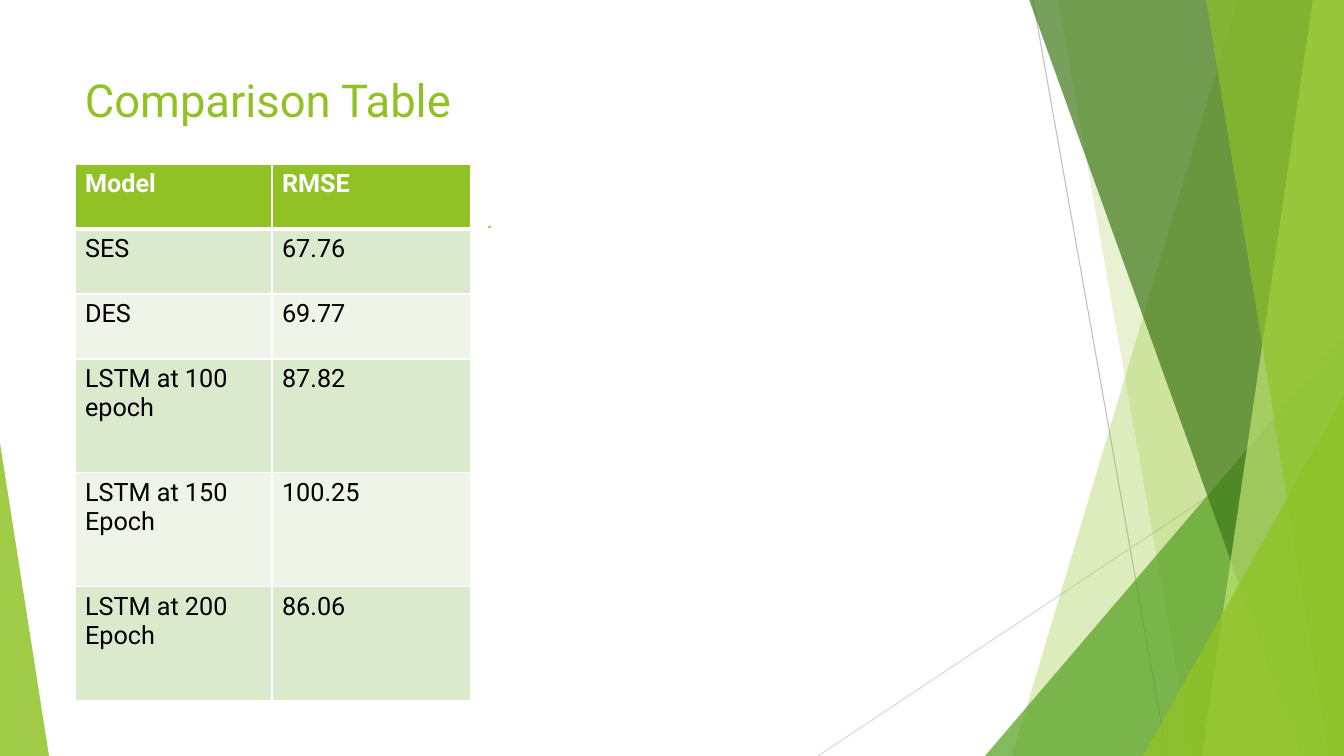
"""Build the Comparison Table slide: RMSE by forecasting model."""
import pptx
import pptx.dml.color
import pptx.enum.shapes
import pptx.enum.text
import pptx.oxml
import pptx.oxml.ns
import pptx.util

COLORS = {
    "lime": "90C226", "green": "54A021", "forest": "3F7819", "pale": "C0E474",
    "band_dark": "DBE9CD", "band_light": "EEF4E8", "white": "FFFFFF",
    "black": "000000", "gray": "BFBFBF", "light_gray": "D9D9D9",
}
FONT = "Roboto"
RIGHT, BOTTOM, TOP = 1344, 756, -1
qn = pptx.oxml.ns.qn


def px(length):
    return pptx.util.Emu(round(length * 914400 / 100.8))


def paint(fill, color, alpha=100):
    fill.solid()
    fill.fore_color.rgb = pptx.dml.color.RGBColor.from_string(COLORS[color])
    if alpha < 100:
        srgb = fill._xPr.find(".//" + qn("a:srgbClr"))
        srgb.append(srgb.makeelement(qn("a:alpha"), {"val": str(alpha * 1000)}))


deck = pptx.Presentation()
deck.slide_width, deck.slide_height = px(RIGHT), px(BOTTOM)
slide = deck.slides.add_slide(deck.slide_layouts[6])
shapes = slide.shapes

for start, end, color in [
    ((1033, 0), (1167, BOTTOM), "gray"),
    ((RIGHT, 406), (818, BOTTOM), "light_gray"),
]:
    ray = shapes.add_connector(
        pptx.enum.shapes.MSO_CONNECTOR.STRAIGHT, *map(px, start + end))
    ray.line.width = pptx.util.Pt(0.75)
    ray.line.color.rgb = pptx.dml.color.RGBColor.from_string(COLORS[color])
    properties = ray._element.spPr
    properties.append(properties.makeelement(qn("a:effectLst"), {}))

facets = [
    ("band", (1238, 1012), "lime", 30),
    ("band", (1058, 1192), "lime", 20),
    ("triangle", (985, 336, 359, 420, 1), "green", 72),
    ("band", (1029, 1301), "forest", 70),
    ("band", (1313, 1202), "pale", 70),
    ("band", (1206, 1329), "lime", 65),
    ("triangle", (1143, 396, 201, 360, 1), "lime", 80),
    ("triangle", (0, 443, 49, 313, 0), "lime", 85),
]
for kind, geometry, color, alpha in facets:
    if kind == "band":
        top_x, bottom_x = geometry
        outline = shapes.build_freeform(px(top_x), px(TOP))
        corners = [(RIGHT, TOP), (RIGHT, BOTTOM), (bottom_x, BOTTOM)]
        outline.add_line_segments([(px(x), px(y)) for x, y in corners])
        facet = outline.convert_to_shape()
    else:
        *box, apex = geometry
        facet = shapes.add_shape(
            pptx.enum.shapes.MSO_SHAPE.ISOSCELES_TRIANGLE, *map(px, box))
        facet.adjustments[0] = apex
    paint(facet.fill, color, alpha)
    facet.line.fill.background()
    facet.shadow.inherit = False

title = shapes.add_textbox(px(75), px(67), px(948), px(145)).text_frame
title.word_wrap = True
title.vertical_anchor = pptx.enum.text.MSO_ANCHOR.TOP
heading = title.paragraphs[0]
dot = title.add_paragraph()
dot.space_before = pptx.util.Pt(57)
dot._p.get_or_add_pPr().set("marL", str(px(402)))
for paragraph, words, size in [
    (heading, "Comparison Table", 32.4),
    (dot, ".", 16.2),
]:
    run = paragraph.add_run()
    run.text = words
    run.font.name = FONT
    run.font.size = pptx.util.Pt(size)
    paint(run.font.fill, "lime")

results = [
    ("Model", "RMSE"),
    ("SES", "67.76"),
    ("DES", "69.77"),
    ("LSTM at 100 epoch", "87.82"),
    ("LSTM at 150 Epoch", "100.25"),
    ("LSTM at 200 Epoch", "86.06"),
]
column_widths = [197, 199]
row_heights = [65] * 3 + [114] * 3
table = shapes.add_table(
    len(results), len(column_widths), px(75), px(164),
    px(sum(column_widths)), px(sum(row_heights))).table
for column, width in zip(table.columns, column_widths):
    column.width = px(width)
for row, height in zip(table.rows, row_heights):
    row.height = px(height)

for r, record in enumerate(results):
    header = r == 0
    band = "lime" if header else "band_dark" if r % 2 else "band_light"
    for c, words in enumerate(record):
        cell = table.cell(r, c)
        run = cell.text_frame.paragraphs[0].add_run()
        run.text = words
        run.font.name = FONT
        run.font.size = pptx.util.Pt(18)
        run.font.bold = header
        paint(run.font.fill, "white" if header else "black")
        paint(cell.fill, band)
        borders = {"L": 1, "R": 1, "T": 3 if r == 1 else 1, "B": 3 if header else 1}
        for index, (side, points) in enumerate(borders.items()):
            border = pptx.oxml.parse_xml(
                f'<a:ln{side} {pptx.oxml.ns.nsdecls("a")} w="{points * 12700}">'
                f'<a:solidFill><a:srgbClr val="{COLORS["white"]}"/></a:solidFill>'
                f'</a:ln{side}>')
            cell._tc.get_or_add_tcPr().insert(index, border)

deck.save("out.pptx")
